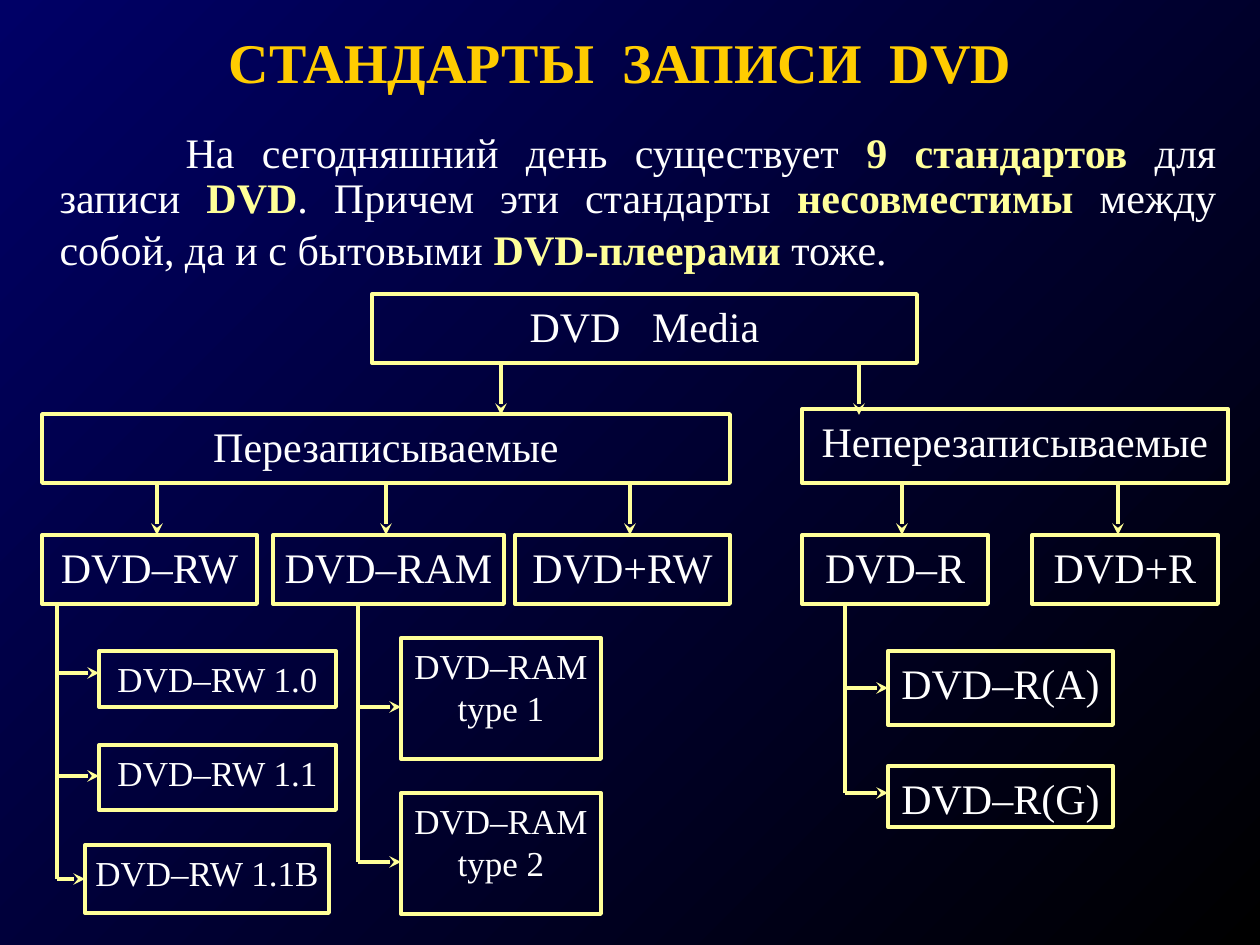
from lxml import etree
from pptx import Presentation
from pptx.dml.color import RGBColor
from pptx.enum.shapes import MSO_CONNECTOR, MSO_SHAPE
from pptx.enum.text import MSO_ANCHOR, MSO_AUTO_SIZE, PP_ALIGN
from pptx.oxml.ns import qn
from pptx.util import Pt

PX = 914400 // 126
COLORS = {"navy": "000066", "black": "000000", "gold": "FFCC00",
          "cream": "FFFF99", "white": "FFFFFF"}
SERIF = "Times New Roman"
LEFT, BOTTOM = 1, 2


def rgb(name):
    return RGBColor.from_string(COLORS[name])


class Deck:
    """Style and current slide, with one method per kind of element."""

    def __init__(self, prs, slide):
        self.slide = slide
        prs.slide_width, prs.slide_height = self.emu(1260, 945)

    def emu(self, *lengths):
        return [length * PX for length in lengths]

    def background(self, start, end):
        fill = self.slide.background.fill
        fill.gradient()
        fill.gradient_angle = 315
        for stop, color in zip(fill.gradient_stops, (start, end)):
            stop.color.rgb = rgb(color)

    def run(self, p, text, size, color="white", bold=False, font=SERIF):
        r = p.add_run()
        r.text = text
        r.font.size, r.font.bold, r.font.name = Pt(size), bold, font
        r.font.color.rgb = rgb(color)

    def place(self, sp, x, y, w, h):
        sp.left, sp.top, sp.width, sp.height = self.emu(x, y, w, h)

    def title(self, text, *box):
        sp = self.slide.shapes.title
        self.place(sp, *box)
        tf = sp.text_frame
        tf.auto_size = MSO_AUTO_SIZE.SHAPE_TO_FIT_TEXT
        tf.vertical_anchor = MSO_ANCHOR.MIDDLE
        p = tf.paragraphs[0]
        p.alignment = PP_ALIGN.CENTER
        self.run(p, text, 32, "gold", True)
        self.run(p, " ", 44, font="Montserrat")

    def body(self, parts, *box):
        sp = self.slide.placeholders[1]
        self.place(sp, *box)
        tf = sp.text_frame
        tf.auto_size = MSO_AUTO_SIZE.NONE
        p = tf.paragraphs[0]
        # First line indented by one inch, no bullet
        pPr = p._p.get_or_add_pPr()
        pPr.set("marL", str(47 * PX))
        pPr.set("indent", str(126 * PX))
        etree.SubElement(pPr, qn("a:buNone"))
        p.alignment = PP_ALIGN.JUSTIFY
        p.line_spacing, p.space_before = 0.9, Pt(0)
        # Plain and highlighted parts alternate
        for i, text in enumerate(parts):
            strong = i % 2 == 1
            self.run(p, text, 24, "cream" if strong else "white", strong)
        self.run(p, " ", 28, font="Arial")

    def box(self, text, x, y, w, h, size=24):
        sp = self.slide.shapes.add_shape(MSO_SHAPE.RECTANGLE, *self.emu(x, y, w, h))
        sp.shadow.inherit = False
        sp.fill.background()
        sp.line.color.rgb, sp.line.width = rgb("cream"), Pt(2.25)
        tf = sp.text_frame
        tf.word_wrap = True
        tf.margin_left = tf.margin_right = 0
        tf.vertical_anchor = MSO_ANCHOR.TOP
        p = tf.paragraphs[0]
        p.alignment = PP_ALIGN.CENTER
        self.run(p, text, size)
        return sp

    def line(self, x1, y1, x2, y2, arrow=True):
        cx = self.slide.shapes.add_connector(
            MSO_CONNECTOR.STRAIGHT, *self.emu(x1, y1, x2, y2))
        cx.line.color.rgb, cx.line.width = rgb("cream"), Pt(2.25)
        if arrow:
            etree.SubElement(cx.line._get_or_add_ln(), qn("a:tailEnd"), type="stealth")
        etree.SubElement(cx._element.spPr, qn("a:effectLst"))
        return cx

    def branch(self, x, y_top, targets):
        """Trunk going down from a box, with an arrow to each (x, y)."""
        self.line(x, y_top, x, max(y for _, y in targets), arrow=False)
        return [self.line(x, y, x_end, y) for x_end, y in targets]


def main():
    prs = Presentation()
    deck = Deck(prs, prs.slides.add_slide(prs.slide_layouts[1]))
    deck.background("navy", "black")

    # Title and introduction
    deck.title("СТАНДАРТЫ  ЗАПИСИ  DVD", 95, 0, 1071, 105)
    deck.body(["На сегодняшний день существует ", "9 стандартов",
               " для записи ", "DVD", ". Причем эти стандарты ", "несовместимы",
               " между собой, да и с бытовыми ", "DVD-плеерами", " тоже."],
              0, 126, 1229, 168)

    # Root and the two families
    deck.box("DVD   Media", 372, 294, 545, 69)
    rewritable = deck.box("Перезаписываемые", 42, 414, 688, 69)
    deck.box("Неперезаписываемые", 802, 409, 426, 74)

    # Formats
    for text, x, w in [("DVD–RW", 42, 215), ("DVD–RAM", 273, 231),
                       ("DVD+RW", 515, 215), ("DVD–R", 802, 186),
                       ("DVD+R", 1032, 186)]:
        deck.box(text, x, 535, w, 69)

    # Versions of each format
    deck.box("DVD–RW 1.0", 99, 651, 237, 56, 20)
    deck.box("DVD–RW 1.1", 99, 745, 237, 65, 20)
    rw_b = deck.box("DVD–RW 1.1B", 85, 845, 244, 68, 20)
    for number, y in enumerate((638, 793), 1):
        deck.box(f"DVD–RAM type {number}", 401, y, 200, 121, 20)
    r_a = deck.box("DVD–R(A)", 888, 651, 225, 74)
    deck.box("DVD–R(G)", 888, 766, 225, 61)

    # Arrows down from the root and from the families
    for x in (501, 859):
        deck.line(x, 363, x, 415)
    for x in (157, 630, 902, 1118):
        deck.line(x, 483, x, 535)
    deck.line(386, 483, 386, 535).begin_connect(rewritable, BOTTOM)

    # Branches to the versions
    rw = deck.branch(57, 604, [(99, 673), (99, 776), (85, 879)])
    rw[-1].end_connect(rw_b, LEFT)
    deck.branch(358, 604, [(401, 707), (401, 862)])
    r = deck.branch(845, 604, [(888, 688), (888, 793)])
    r[0].end_connect(r_a, LEFT)

    prs.save("out.pptx")


if __name__ == "__main__":
    main()
